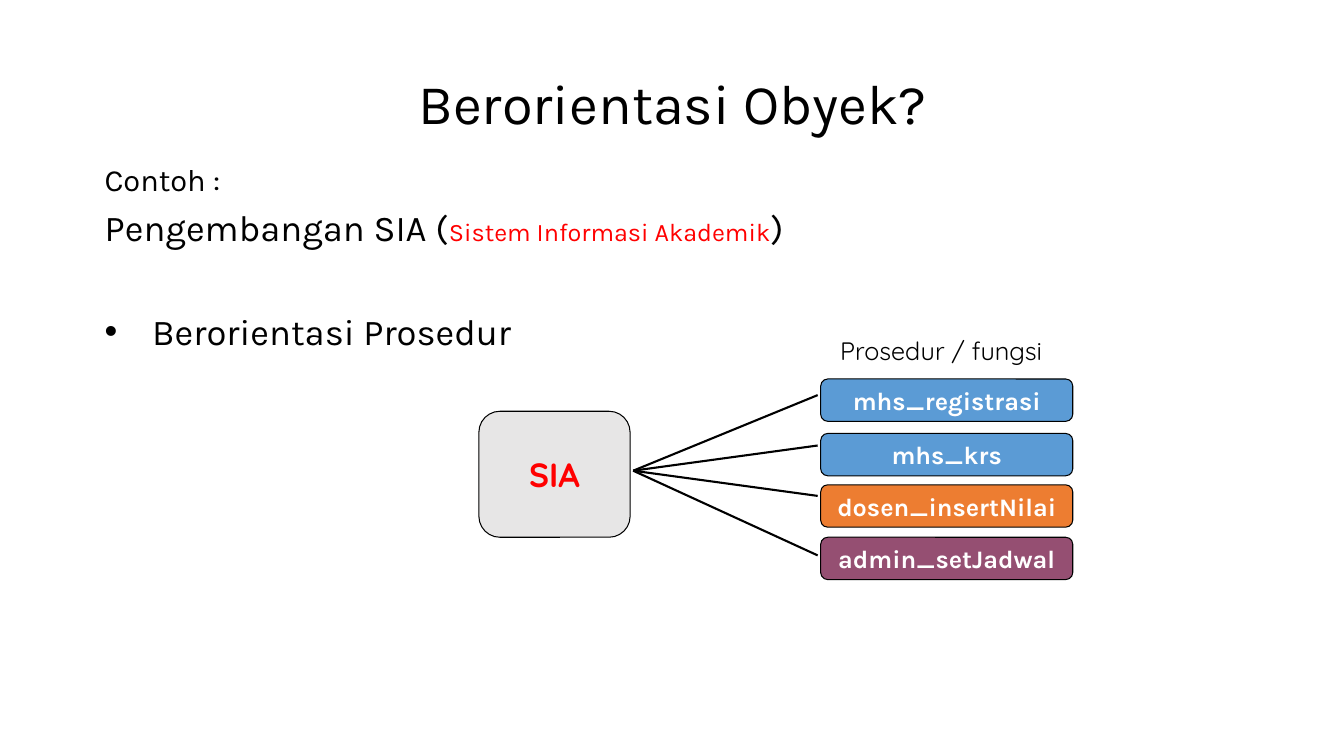
from lxml import etree
from pptx import Presentation
from pptx.dml.color import RGBColor
from pptx.enum.shapes import MSO_CONNECTOR, MSO_SHAPE
from pptx.enum.text import MSO_ANCHOR, PP_ALIGN
from pptx.oxml.ns import qn
from pptx.util import Inches, Pt

BLACK = RGBColor(0x00, 0x00, 0x00)
WHITE = RGBColor(0xFF, 0xFF, 0xFF)
RED = RGBColor(0xFF, 0x00, 0x00)
GREY = RGBColor(0xE7, 0xE6, 0xE6)
BLUE = RGBColor(0x5B, 0x9B, 0xD5)
ORANGE = RGBColor(0xED, 0x7D, 0x31)
PURPLE = RGBColor(0x95, 0x4F, 0x72)

CENTER = PP_ALIGN.CENTER
MIDDLE = MSO_ANCHOR.MIDDLE
TOP = MSO_ANCHOR.TOP
ROUNDED = MSO_SHAPE.ROUNDED_RECTANGLE
STRAIGHT = MSO_CONNECTOR.STRAIGHT

BODY_FONT = "Karla"
DIAGRAM_FONT = "Quicksand"

HUB = (6.28, 4.67)
SPOKE_END = 8.11
PROCEDURES = [
    ("mhs_registrasi", BLUE, 3.76, 3.92),
    ("mhs_krs", BLUE, 4.30, 4.42),
    ("dosen_insertNilai", ORANGE, 4.81, 4.92),
    ("admin_setJadwal", PURPLE, 5.33, 5.51),
]


def add_run(paragraph, text, size, color=BLACK, name=BODY_FONT, bold=False):
    run = paragraph.add_run()
    run.text = text
    font_format = {"name": name, "size": Pt(size), "bold": bold}
    for attribute, value in font_format.items():
        setattr(run.font, attribute, value)
    run.font.color.rgb = color


def format_frame(frame, anchor, wrap):
    frame_format = {"vertical_anchor": anchor, "word_wrap": wrap}
    for attribute, value in frame_format.items():
        setattr(frame, attribute, value)


def add_text_box(slide, place, anchor=MIDDLE, wrap=True):
    frame = slide.shapes.add_textbox(*map(Inches, place)).text_frame
    format_frame(frame, anchor, wrap)
    return frame


def add_centered_text(frame, text, size, **run_format):
    paragraph = frame.paragraphs[0]
    paragraph.alignment = CENTER
    add_run(paragraph, text, size, **run_format)


def add_node(slide, place, fill, text, size, **run_format):
    node = slide.shapes.add_shape(ROUNDED, *map(Inches, place))
    node.shadow.inherit = False
    node.fill.solid()
    node.fill.fore_color.rgb = fill
    node.line.color.rgb = BLACK
    node.line.width = Pt(0.75)
    format_frame(node.text_frame, MIDDLE, False)
    add_centered_text(node.text_frame, text, size, bold=True, **run_format)


def add_spoke(slide, end_y):
    ends = map(Inches, (*HUB, SPOKE_END, end_y))
    spoke = slide.shapes.add_connector(STRAIGHT, *ends)
    spoke.line.color.rgb = BLACK
    spoke.line.width = Pt(1.5)
    etree.SubElement(spoke._element.spPr, qn("a:effectLst"))


def add_bullet(paragraph, indent):
    properties = paragraph._p.get_or_add_pPr()
    properties.set("marL", str(Inches(indent)))
    properties.set("indent", str(Inches(-indent)))
    etree.SubElement(properties, qn("a:buFont"), typeface="Arial")
    etree.SubElement(properties, qn("a:buChar"), char="•")


def add_example(slide):
    frame = add_text_box(slide, (0.94, 1.54, 9, 5.15), anchor=TOP)
    intro = frame.paragraphs[0]
    system = frame.add_paragraph()
    approach = frame.add_paragraph()
    spacing = ((intro, 5), (system, 6), (approach, 42.5))
    for paragraph, space_before in spacing:
        paragraph.space_before = Pt(space_before)
    add_run(intro, "Contoh :", 22)
    add_run(system, "Pengembangan SIA (", 26)
    add_run(system, "Sistem Informasi Akademik", 18, color=RED)
    add_run(system, ")", 26)
    add_bullet(approach, 0.47)
    add_run(approach, "Berorientasi Prosedur", 26)


def add_diagram(slide):
    add_node(slide, (4.75, 4.08, 1.5, 1.25), GREY, "SIA", 24,
             color=RED, name=DIAGRAM_FONT)
    for procedure, fill, top, spoke_y in PROCEDURES:
        add_node(slide, (8.14, top, 2.5, 0.42), fill, procedure, 18, color=WHITE)
        add_spoke(slide, spoke_y)
    caption = add_text_box(slide, (8.17, 3.35, 2.33, 0.25), wrap=False)
    add_centered_text(caption, "Prosedur / fungsi", 18, name=DIAGRAM_FONT)


def main():
    presentation = Presentation()
    presentation.slide_width = Inches(13.33)
    presentation.slide_height = Inches(7.5)
    slide = presentation.slides.add_slide(presentation.slide_layouts[6])
    title = add_text_box(slide, (2.17, 0.39, 9, 1.25))
    add_centered_text(title, "Berorientasi Obyek?", 40)
    add_example(slide)
    add_diagram(slide)
    presentation.save("out.pptx")


if __name__ == "__main__":
    main()
